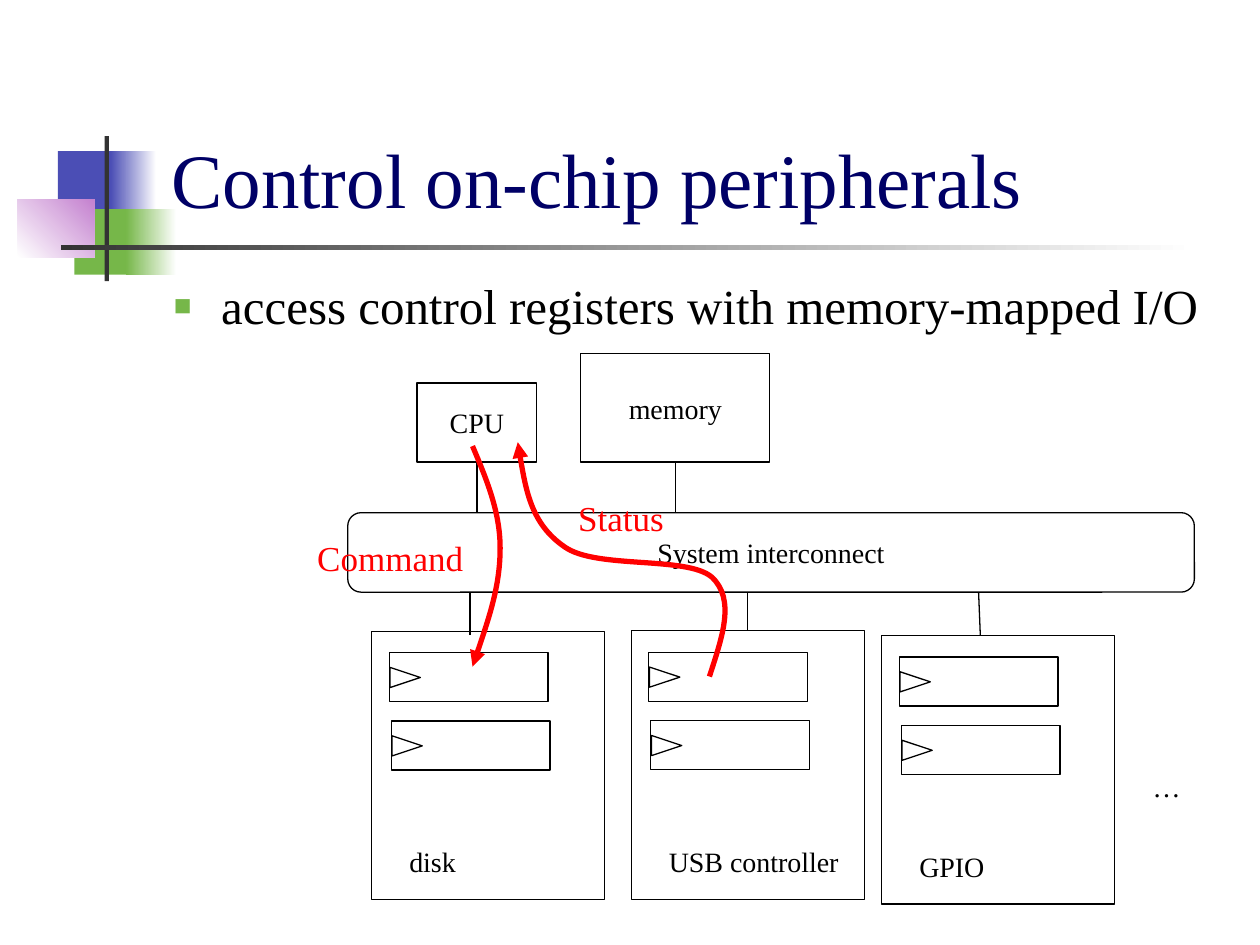
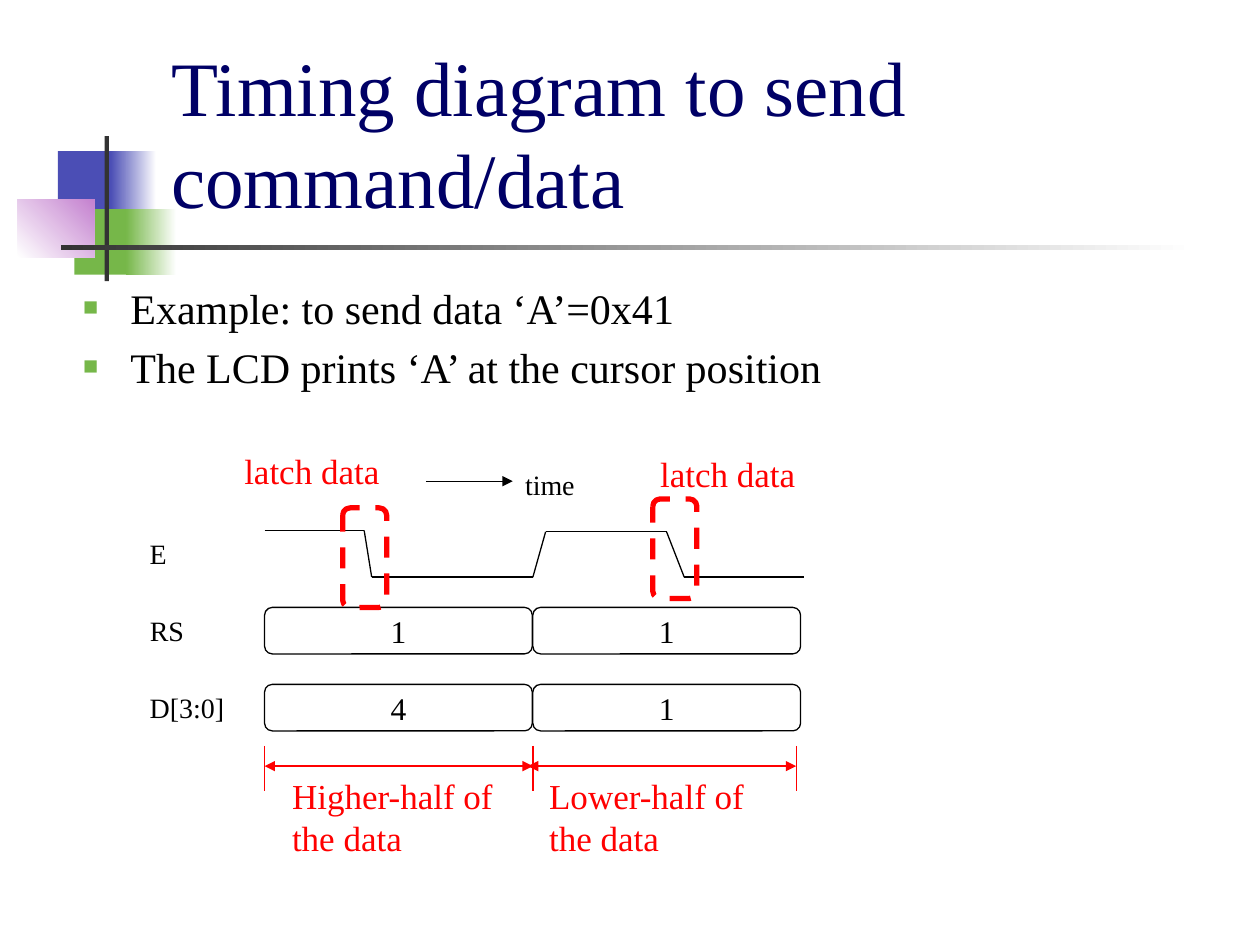
from pptx import Presentation, util as u
from pptx.dml import color
from pptx.enum import dml, shapes, text
from pptx.oxml import ns, xmlchemy

FONT = "Times New Roman"
BLACK, RED, NAVY, GRAY, WHITE = "000000", "FF0000", "000066", "333333", "FFFFFF"
BLUE, GREEN, PURPLE = "4B4EB5", "76B749", "C481CF"
RECT = shapes.MSO_SHAPE.RECTANGLE
ROUND = shapes.MSO_SHAPE.ROUNDED_RECTANGLE
TRIANGLE = shapes.MSO_SHAPE.ISOSCELES_TRIANGLE
TITLE_BOX = (90.7, 16.6, 613.4, 115.2)


def rgb(code):
    """Turn a hex string into a colour."""
    return color.RGBColor.from_string(code)


def points(*values):
    """Turn numbers into lengths in points."""
    return [u.Pt(value) for value in values]


def inside(box, left, top, *size):
    """Shift a place by the corner of the box that holds it."""
    return (box[0] + left, box[1] + top, *size)


def assign(target, values):
    """Set each named attribute of the target."""
    for name, value in values.items():
        setattr(target, name, value)


def add_xml(parent, tag, **attributes):
    """Append one DrawingML element."""
    child = xmlchemy.OxmlElement(tag)
    for name, value in attributes.items():
        child.set(name, value)
    parent.append(child)


def write(shape, wording, size, code=BLACK, align=text.PP_ALIGN.LEFT, **frame_values):
    """Fill a shape with one paragraph per line of wording."""
    frame = shape.text_frame
    frame.text = wording
    assign(frame, {"word_wrap": True, "auto_size": text.MSO_AUTO_SIZE.NONE, **frame_values})
    for para in frame.paragraphs:
        para.alignment = align
        for span in para.runs:
            assign(span.font, {"name": FONT, "size": u.Pt(size)})
            span.font.color.rgb = rgb(code)


def outline(item, code, width=0.75, ends=()):
    """Set a line's colour, width and arrowheads."""
    item.line.color.rgb = rgb(code)
    item.line.width = u.Pt(width)
    for end in ends:
        add_xml(item.element.spPr.get_or_add_ln(), f"a:{end}", type="triangle")


def draw(page, kind, place, wording="", size=16, code=BLACK, width=0.75):
    """Draw an unfilled outlined shape with centred text."""
    shape = page.shapes.add_shape(kind, *points(*place))
    shape.shadow.inherit = False
    shape.fill.background()
    outline(shape, code, width)
    if wording:
        write(shape, wording, size, align=text.PP_ALIGN.CENTER,
              vertical_anchor=text.MSO_ANCHOR.MIDDLE)
    return shape


def label(page, place, wording, size=16, code=BLACK):
    """Add free text that fits its wording."""
    shape = page.shapes.add_textbox(*points(*place))
    write(shape, wording, size, code, word_wrap=False,
          auto_size=text.MSO_AUTO_SIZE.SHAPE_TO_FIT_TEXT)


def link(page, start, end, code=BLACK, ends=()):
    """Draw a straight line between two places."""
    line = page.shapes.add_connector(shapes.MSO_CONNECTOR.STRAIGHT, *points(*start, *end))
    outline(line, code, ends=ends)
    add_xml(line.element.spPr, "a:effectLst")
    return line


def curve(page, box, places):
    """Draw a red arrow through cubic curves, three places to each."""
    start, *rest = [points(*inside(box, *place)) for place in places]
    builder = page.shapes.build_freeform(*start)
    builder.add_line_segments(rest, close=False)
    arrow = builder.convert_to_shape()
    arrow.shadow.inherit = False
    arrow.fill.background()
    outline(arrow, RED, 3, ["tailEnd"])
    track = next(arrow.element.iter(ns.qn("a:path")))
    steps = track.findall(ns.qn("a:lnTo"))
    for first in range(0, len(steps), 3):
        add_xml(track, "a:cubicBezTo")
        for step in steps[first:first + 3]:
            track[-1].append(step[0])
            track.remove(step)


def decorate(layout, page):
    """Put the coloured squares and rules behind everything on the layout."""
    parts = [
        ((33.1, 86.4, 34.6, 37.4), [BLUE], 0),
        ((63.4, 86.4, 25.9, 37.4), [BLUE, WHITE], 0),
        ((42.5, 119.5, 33.1, 37.4), [GREEN], 0),
        ((72, 119.5, 28.8, 37.4), [GREEN, WHITE], 0),
        ((10.1, 113.8, 43.9, 33.1), [WHITE, PURPLE], 45),
        ((59.8, 77.8, 2.4, 82.8), [GRAY], 0),
        ((34.8, 140.2, 648, 2.4), [GRAY, WHITE], 0),
    ]
    for order, (place, codes, angle) in enumerate(parts):
        shape = draw(page, RECT, place)
        shape.line.fill.background()
        if len(codes) == 1:
            shape.fill.solid()
            shape.fill.fore_color.rgb = rgb(codes[0])
        else:
            shape.fill.gradient()
            shape.fill.gradient_angle = angle
            for stop, code in zip(shape.fill.gradient_stops, codes):
                stop.color.rgb = rgb(code)
        layout.shapes.element.insert(2 + order, shape.element)


def heading(page, title, body_box, lines, size):
    """Fill the title and the bulleted body."""
    body = page.placeholders[1]
    for holder, place in ((page.shapes.title, TITLE_BOX), (body, body_box)):
        assign(holder, dict(zip(("left", "top", "width", "height"), points(*place))))
    write(page.shapes.title, title, 44, NAVY, vertical_anchor=text.MSO_ANCHOR.BOTTOM)
    write(body, "\n".join(lines), size)
    for para in body.text_frame.paragraphs:
        bullet = para.runs[0].font.element.getparent().getparent().get_or_add_pPr() \
            if hasattr(para.runs[0].font, "element") else para._p.get_or_add_pPr()
        add_xml(bullet, "a:buClr")
        add_xml(bullet[-1], "a:srgbClr", val=GREEN)
        add_xml(bullet, "a:buSzPct", val="60000")
        add_xml(bullet, "a:buFont", typeface=FONT)
        add_xml(bullet, "a:buChar", char="■")


def peripheral(page, box, name, name_width):
    """Draw a device with two control registers and its name."""
    device = draw(page, RECT, box)
    for left, top in ((10.1, 12.2), (11.2, 51.3)):
        register = inside(box, left, top, 90.7, 28.1)
        draw(page, RECT, register)
        draw(page, TRIANGLE, inside(register, 3.3, 5.6, 11.5, 17.3)).rotation = 90
    label(page, inside(box, 14.4, 118.6, name_width, 26.6), name)
    return device


def system_diagram(page, box):
    """Draw the processor, memory, interconnect and devices."""
    cpu = draw(page, RECT, inside(box, 64.3, 16.9, 68.4, 45.2), "CPU")
    memory = draw(page, RECT, inside(box, 157.9, 0, 108, 62.1), "memory")
    devices = [
        peripheral(page, inside(box, left, top, 133.2, 153.4), name, width)
        for left, top, name, width in (
            (38.4, 158.7, "disk", 41.8),
            (186.7, 158.5, "USB controller", 113),
            (329.8, 161.2, "GPIO", 51.8))
    ]
    label(page, inside(box, 477.6, 234.3, 31, 26.6), "…")
    draw(page, ROUND, inside(box, 24.7, 91, 483.8, 45.4), "System interconnect")
    for unit, x in ((cpu, 98.5), (memory, 211.9)):
        link(page, inside(box, x, 62.1), inside(box, x, 91)).begin_connect(unit, 2)
    usb_x = 253.3
    link(page, inside(box, usb_x, 136.4), inside(box, usb_x, 158.5)).end_connect(devices[1], 0)
    for x, end_x in ((94.6, 94.6), (385.2, 386.2)):
        link(page, inside(box, x, 136.4), inside(box, end_x, 161))
    curve(page, box, [
        (96, 52.9), (103.9, 71.6), (111.8, 90.3), (111.8, 111.2),
        (111.8, 132.8), (103.9, 155.8), (96, 178.9)])
    label(page, inside(box, 0.2, 101.1, 98.6, 31.7), "Command", 20, RED)
    curve(page, box, [
        (231.4, 184.6), (238.6, 162.3), (246.5, 140.7), (232.8, 127.8),
        (218.4, 115.5), (166.6, 123.4), (148.6, 110.5),
        (129.8, 97.5), (125.5, 73.8), (121.9, 50.7)])
    label(page, inside(box, 149.3, 78.1, 64.1, 31.7), "Status", 20, RED)


def timing_diagram(page, box):
    """Draw the enable wave, the data rows and the half marks."""
    start, middle, finish = 72.7, 226, 376.5
    signals = [("E", 24.5, ""), ("RS", 34.6, "11"), ("D[3:0]", 57.6, "41")]
    for row, (name, width, values) in enumerate(signals):
        top = 49.6 + 44 * row
        label(page, inside(box, 0, top, width, 26.6), name)
        for left, value in zip((start, middle), values):
            draw(page, ROUND, inside(box, left, top, 153, 26.6), value, 18)
    wave = [(start, 49.6), (129.6, 49.6), (133.9, 76.3), (middle, 76.3),
            (233.3, 50.4), (302.4, 50.4), (312.5, 76.3), (380.9, 76.3)]
    for before, after in zip(wave, wave[1:]):
        link(page, inside(box, *before), inside(box, *after))
    link(page, inside(box, 164.9, 21.5), inside(box, 214.5, 21.5), ends=["tailEnd"])
    label(page, inside(box, 214.5, 10, 43.2, 26.6), "time")
    for mark, caption in (((117.3, 36.7), (54, 0)), ((294.5, 31.6), (291.6, 1.4))):
        latch = draw(page, ROUND, inside(box, *mark, 25.2, 56.9), code=RED, width=3)
        latch.line.dash_style = dml.MSO_LINE.DASH
        label(page, inside(box, *caption, 92.2, 31.7), "latch data", 20, RED)
    for x in (start, middle, finish):
        link(page, inside(box, x, 172.7), inside(box, x, 198.7), RED)
    halves = [(start, middle, 81.3, 130.3, "Higher-half of\nthe data"),
              (223.2, finish, 228.2, 126.7, "Lower-half of\nthe data")]
    for left, right, text_left, width, wording in halves:
        link(page, inside(box, left, 184.3), inside(box, right, 184.3), RED,
             ["headEnd", "tailEnd"])
        label(page, inside(box, text_left, 185.7, width, 55.4), wording, 20, RED)


def main():
    """Build and save the deck."""
    deck = Presentation()
    deck.slide_width, deck.slide_height = points(720, 540)
    layout = deck.slide_layouts[1]
    control, timing = [deck.slides.add_slide(layout) for _ in range(2)]
    decorate(layout, control)
    heading(control, "Control on-chip peripherals", (92.2, 154.1, 612, 44.6),
            ["access control registers with memory-mapped I/O"], 28)
    system_diagram(control, (174, 202))
    heading(timing, "Timing diagram to send command/data", (40.3, 157.7, 592.6, 90.7),
            ["Example: to send data ‘A’=0x41", "The LCD prints ‘A’ at the cursor position"], 24)
    timing_diagram(timing, (78.5, 253.5))


    deck.save("out.pptx")


if __name__ == "__main__":
    main()
